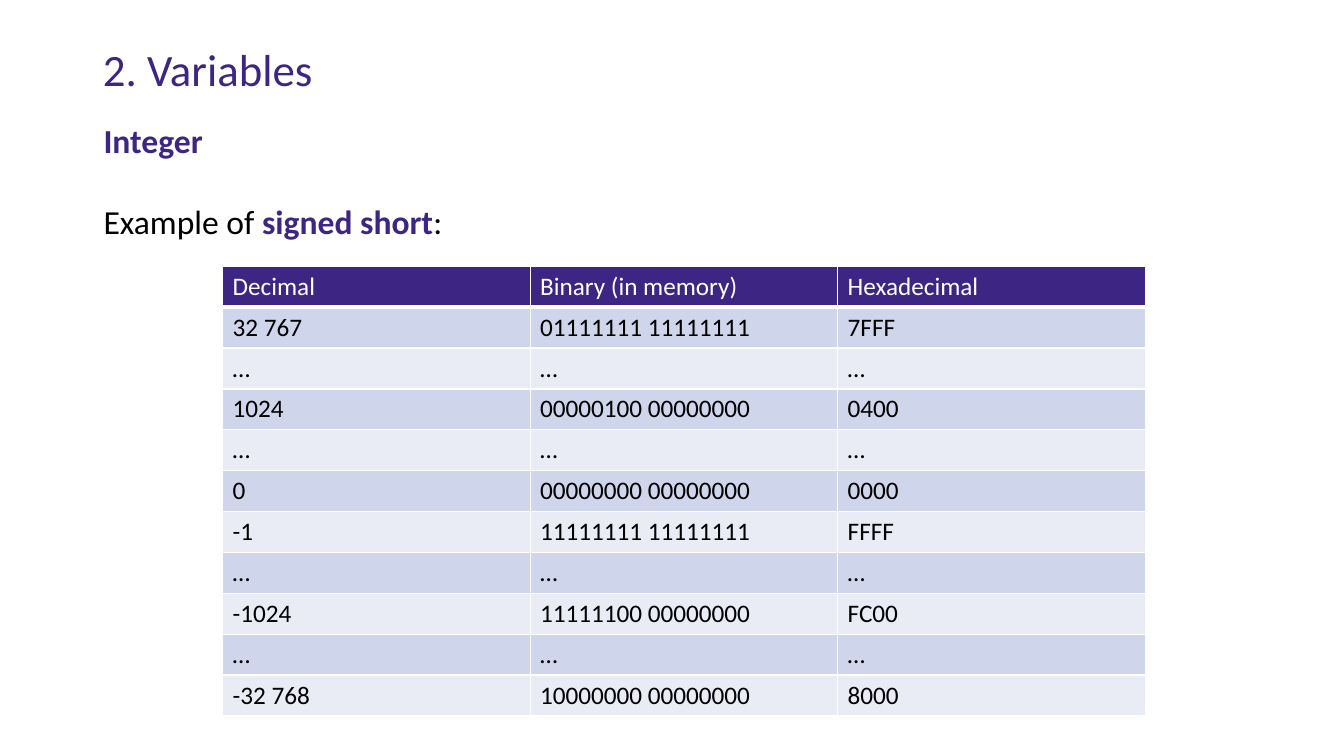
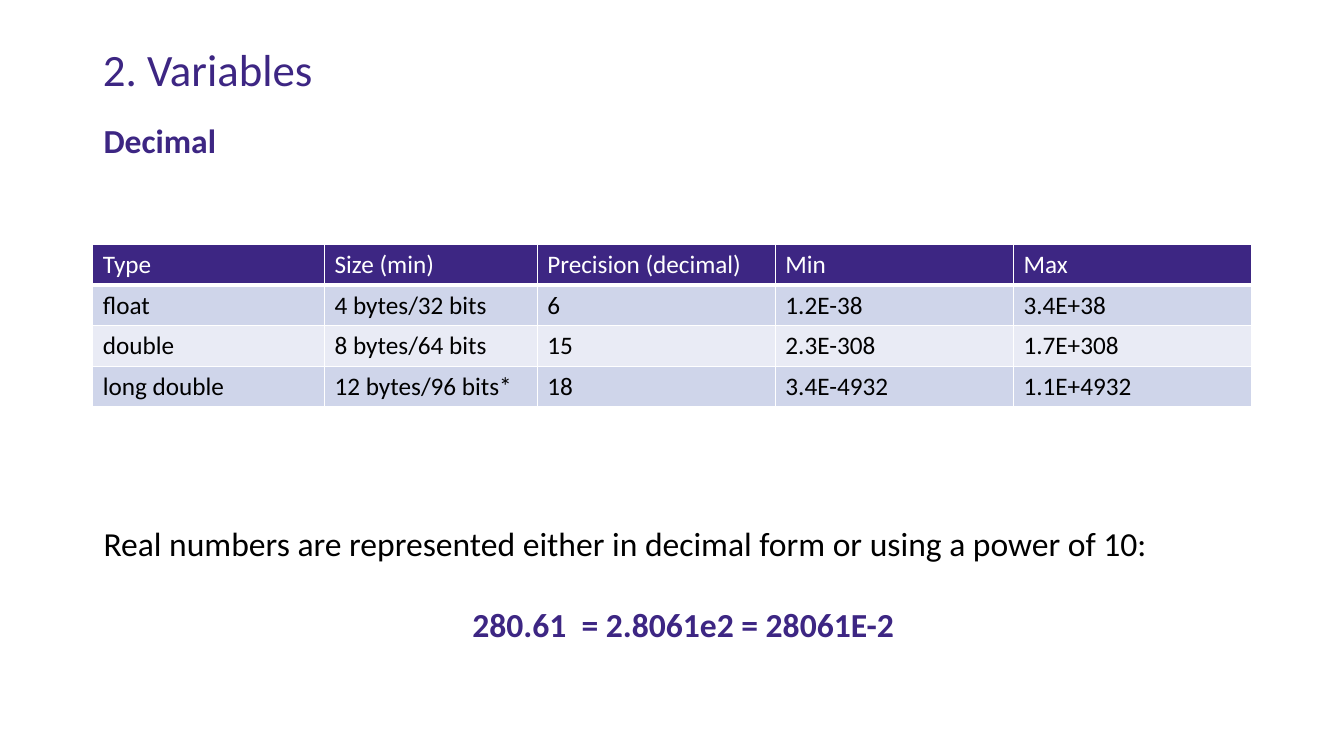
from lxml import etree
from pptx import Presentation
from pptx import util as u
from pptx.dml.color import RGBColor
from pptx.enum import text
from pptx.oxml import ns

PURPLE = RGBColor(0x3D, 0x26, 0x83)
BLACK = RGBColor(0, 0, 0)
WHITE = RGBColor(0xFF, 0xFF, 0xFF)
BAND_DARK = RGBColor(0xCF, 0xD5, 0xEA)
BAND_LIGHT = RGBColor(0xE9, 0xEB, 0xF5)
FONT = "Calibri"
BODY_LINE = 28.8  # height in points of one line of body text

PLAIN = {"size": u.Pt(24), "bold": False, "color": BLACK}
STRONG = {"size": u.Pt(24), "bold": True, "color": PURPLE}
TITLE = {"size": u.Pt(32), "bold": False, "color": PURPLE}
HEADER = {"size": u.Pt(18), "bold": False, "color": WHITE}
CELL = {"size": u.Pt(18), "bold": False, "color": BLACK}


class Deck:
    def __init__(self):
        self.prs = Presentation()
        self.prs.slide_width, self.prs.slide_height = u.Cm(33.87), u.Cm(19.05)
        self.s = None

    def slide(self, title):
        self.s = self.prs.slides.add_slide(self.prs.slide_layouts[5])
        sp = self.s.shapes.title
        box = {"left": 2.34, "top": 1.02, "width": 29.21, "height": 1.6}
        for name, value in box.items():
            setattr(sp, name, u.Cm(value))
        tf = sp.text_frame
        tf.vertical_anchor = text.MSO_ANCHOR.MIDDLE
        p = tf.paragraphs[0]
        p.alignment = text.PP_ALIGN.LEFT
        p.line_spacing = 0.9
        self.run(p, title, TITLE)

    def run(self, p, words, style):
        r = p.add_run()
        r.text = words
        r.font.name = FONT
        for name, value in style.items():
            if name == "color":
                r.font.color.rgb = value
            else:
                setattr(r.font, name, value)

    def body(self, height, paragraphs):
        """Each paragraph is (lines of space before, alignment, runs)."""
        sp = self.s.shapes.add_textbox(u.Cm(2.36), u.Cm(2.9), u.Cm(29.72), u.Cm(height))
        tf = sp.text_frame
        tf.word_wrap = True
        tf.auto_size = text.MSO_AUTO_SIZE.SHAPE_TO_FIT_TEXT
        for i, (gap, alignment, runs) in enumerate(paragraphs):
            p = tf.add_paragraph() if i else tf.paragraphs[0]
            p.alignment = alignment
            p.space_before = u.Pt(gap * BODY_LINE)
            for words, style in runs:
                self.run(p, words, style)

    def borders(self, cell, top, bottom):
        tc_pr = cell._tc.get_or_add_tcPr()
        for side, points in {"L": 1, "R": 1, "T": top, "B": bottom}.items():
            ln = etree.SubElement(tc_pr, ns.qn(f"a:ln{side}"), w=str(u.Pt(points)))
            fill = etree.SubElement(ln, ns.qn("a:solidFill"))
            etree.SubElement(fill, ns.qn("a:srgbClr"), val=str(WHITE))

    def table(self, left, top, widths, row_height, rows):
        """Table with a purple header row and banded rows below it."""
        frame = self.s.shapes.add_table(
            len(rows), len(widths), u.Cm(left), u.Cm(top),
            u.Cm(sum(widths)), u.Cm(row_height * len(rows)))
        table = frame.table
        for column, width in zip(table.columns, widths):
            column.width = u.Cm(width)
        for i, values in enumerate(rows):
            table.rows[i].height = u.Cm(row_height)
            band = BAND_DARK if i % 2 else BAND_LIGHT
            for j, value in enumerate(values):
                cell = table.cell(i, j)
                self.borders(cell, 3 if i == 1 else 1, 1 if i else 3)
                cell.fill.solid()
                cell.fill.fore_color.rgb = band if i else PURPLE
                self.run(cell.text_frame.paragraphs[0], value, CELL if i else HEADER)


def main():
    left, center = text.PP_ALIGN.LEFT, text.PP_ALIGN.CENTER
    deck = Deck()

    deck.slide("2. Variables")
    deck.body(4.37, [
        (0, left, [("Integer", STRONG)]),
        (1, left, [("Example of ", PLAIN), ("signed short", STRONG), (":", PLAIN)]),
    ])
    dots = ["…"] * 3
    deck.table(5.61, 6.71, [7.75] * 3, 1.03, [
        ["Decimal", "Binary (in memory)", "Hexadecimal"],
        ["32 767", "01111111 11111111", "7FFF"],
        dots,
        ["1024", "00000100 00000000", "0400"],
        dots,
        ["0", "00000000 00000000", "0000"],
        ["-1", "11111111 11111111", "FFFF"],
        dots,
        ["-1024", "11111100 00000000", "FC00"],
        dots,
        ["-32 768", "10000000 00000000", "8000"],
    ])

    deck.slide("2. Variables")
    deck.body(14.63, [
        (0, left, [("Decimal", STRONG)]),
        (9, left, [("Real numbers are represented either in decimal form "
                    "or using a power of 10:", PLAIN)]),
        (1, center, [("280.61  = 2.8061e2 = 28061E-2", STRONG)]),
    ])
    deck.table(2.34, 6.17, [5.84, 5.36, 6, 6, 6], 1.02, [
        ["Type", "Size (min)", "Precision (decimal)", "Min", "Max"],
        ["float", "4 bytes/32 bits", "6", "1.2E-38", "3.4E+38"],
        ["double", "8 bytes/64 bits", "15", "2.3E-308", "1.7E+308"],
        ["long double", "12 bytes/96 bits*", "18", "3.4E-4932", "1.1E+4932"],
    ])

    deck.prs.save("out.pptx")


if __name__ == "__main__":
    main()
